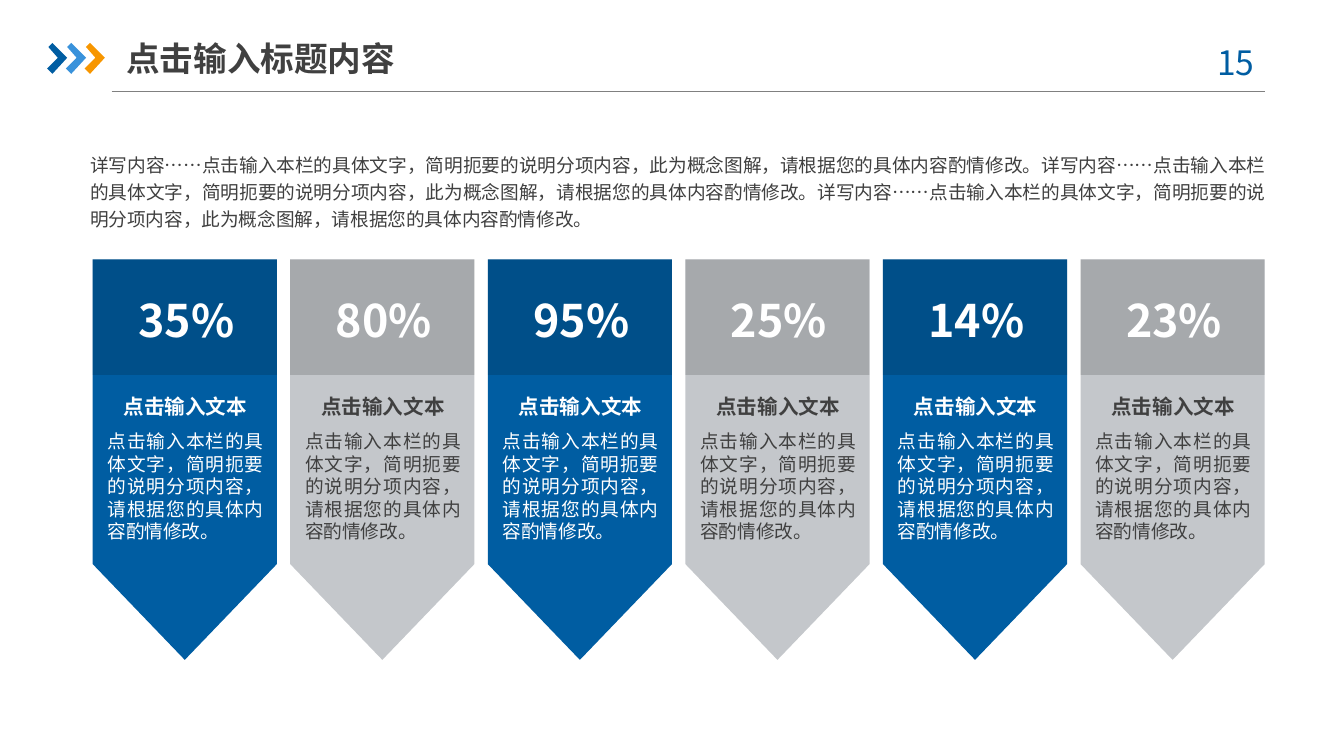
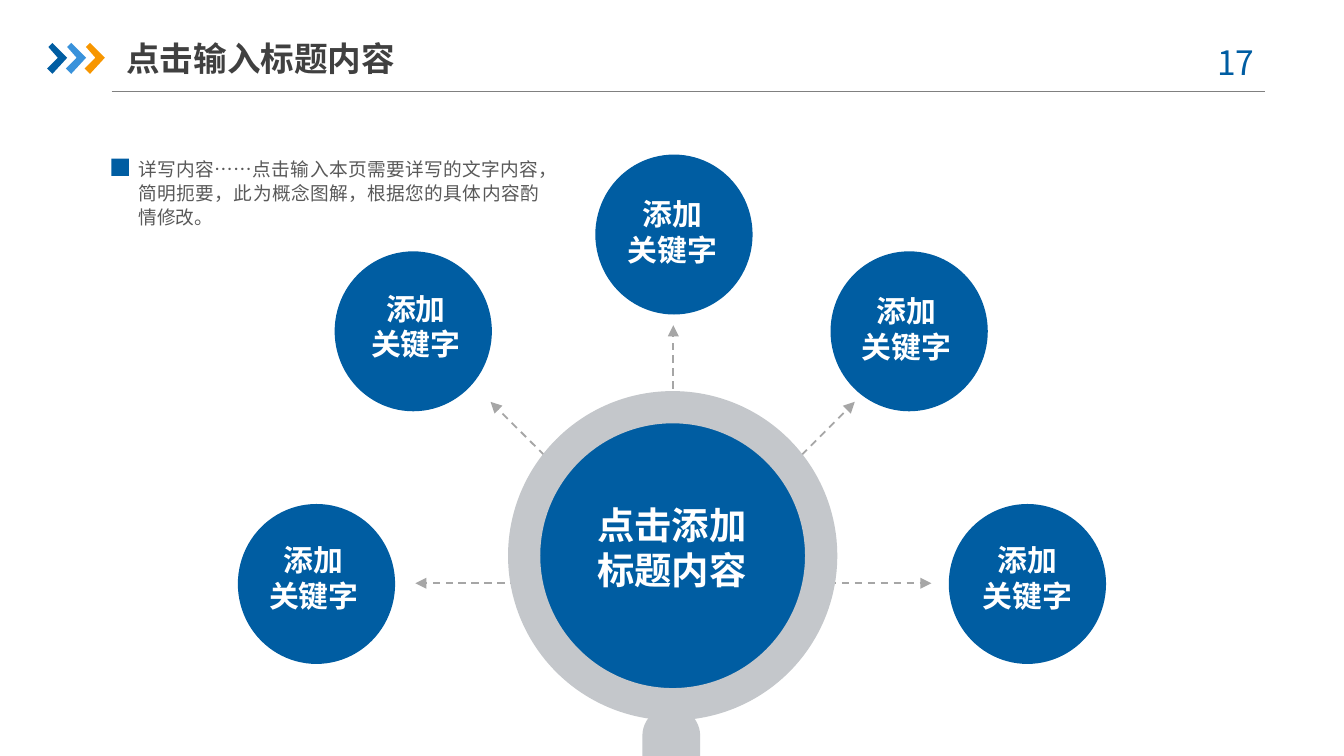
"""Build two slides: a row of percentage arrows and a hub with keywords."""
from lxml import etree
from pptx import Presentation
from pptx.dml.color import RGBColor
from pptx.enum import dml, shapes, text
from pptx.oxml import ns
from pptx.util import Inches, Pt

FONT = "Noto Sans CJK SC"
BLUE = RGBColor(0x00, 0x5D, 0xA2)
SKY = RGBColor(0x39, 0x92, 0xDB)
ORANGE = RGBColor(0xF7, 0x96, 0x00)
SILVER = RGBColor(0xC4, 0xC7, 0xCB)
RULE_GREY = RGBColor(0x80, 0x80, 0x80)
ARROW_GREY = RGBColor(0xA6, 0xA6, 0xA6)
DARK = RGBColor(0x40, 0x40, 0x40)
NOTE_GREY = RGBColor(0x59, 0x59, 0x59)
WHITE = RGBColor(0xFF, 0xFF, 0xFF)
BLACK = RGBColor(0x00, 0x00, 0x00)

SLIDE_WIDTH = Inches(10)
SLIDE_HEIGHT = SLIDE_WIDTH * 9 // 16
CENTER, JUSTIFY = text.PP_ALIGN.CENTER, text.PP_ALIGN.JUSTIFY
OVAL = shapes.MSO_SHAPE.OVAL
RECTANGLE = shapes.MSO_SHAPE.RECTANGLE
DEFAULT_INSETS = (0.1, 0.05)
TIGHT_INSETS = (0.04, 0.02)

TITLE = "点击输入标题内容"
INTRO = ("详写内容……点击输入本栏的具体文字，简明扼要的说明分项内容，"
         "此为概念图解，请根据您的具体内容酌情修改。") * 3
PERCENTAGES = ["35%", "80%", "95%", "25%", "14%", "23%"]
COLUMN_HEADING = "点击输入文本"
COLUMN_BODY = ("点击输入本栏的具体文字，简明扼要的说明分项内容，"
               "请根据您的具体内容酌情修改。")
COLUMN_STYLES = [(BLUE, WHITE), (SILVER, DARK)]
COLUMN_LEFT, COLUMN_TOP, COLUMN_WIDTH, COLUMN_STEP = 0.69, 1.93, 1.37, 1.47

NOTE = ("详写内容……点击输入本页需要详写的文字内容，简明扼要，"
        "此为概念图解，根据您的具体内容酌情修改。")
HUB_TEXT = "点击添加\n标题内容"
KEYWORD = "添加\n关键字"
HUB_CENTER = (5.01, 4.34)
RING_SIZE, RING_BAND = 2.45, 0.24
KEYWORDS = [
    {"circle": (1.77, 3.75), "label": (1.85, 3.97), "tip": (3.09, 4.34)},
    {"circle": (2.49, 1.87), "label": (2.61, 2.10), "tip": (3.65, 2.99)},
    {"circle": (4.43, 1.15), "label": (4.52, 1.40), "tip": (5.01, 2.42)},
    {"circle": (6.18, 1.87), "label": (6.26, 2.12), "tip": (6.36, 2.99)},
    {"circle": (7.06, 3.75), "label": (7.16, 3.97), "tip": (6.93, 4.34)},
]

CHEVRON_COLORS = [BLUE, SKY, ORANGE]
CHEVRON_STEP = 0.14
CHEVRON_POINTS = [(0.36, 0.35), (0.39, 0.32), (0.5, 0.43),
                  (0.39, 0.55), (0.35, 0.51), (0.43, 0.43)]


def paint(shape, color):
    shape.shadow.inherit = False
    shape.fill.solid()
    shape.fill.fore_color.rgb = color
    shape.line.fill.background()


def add_shape(slide, kind, box, color, adjustments=()):
    shape = slide.shapes.add_shape(kind, *map(Inches, box))
    paint(shape, color)
    for index, value in enumerate(adjustments):
        shape.adjustments[index] = value
    return shape


def add_text(slide, content, box, size, color, bold=False, align=None,
             insets=DEFAULT_INSETS, spacing=None, grow=False):
    textbox = slide.shapes.add_textbox(*map(Inches, box))
    frame = textbox.text_frame
    frame.text = content
    frame.word_wrap = True
    frame.auto_size = (text.MSO_AUTO_SIZE.SHAPE_TO_FIT_TEXT if grow
                       else text.MSO_AUTO_SIZE.NONE)
    frame.margin_left = frame.margin_right = Inches(insets[0])
    frame.margin_top = frame.margin_bottom = Inches(insets[1])
    for paragraph in frame.paragraphs:
        paragraph.alignment = align
        paragraph.line_spacing = spacing
        for run in paragraph.runs:
            run.font.size = Pt(size)
            run.font.bold = bold
            run.font.color.rgb = color
            run.font.name = FONT
            east_asian = etree.SubElement(run.font._element, ns.qn("a:ea"))
            east_asian.set("typeface", FONT)
    return textbox


def add_line(slide, start, end, color, width):
    line = slide.shapes.add_connector(
        shapes.MSO_CONNECTOR.STRAIGHT, *map(Inches, start + end))
    line.line.color.rgb = color
    line.line.width = Pt(width)
    etree.SubElement(line._element.spPr, ns.qn("a:effectLst"))
    return line


def add_dashed_arrow(slide, start, end):
    arrow = add_line(slide, start, end, ARROW_GREY, 1)
    arrow.line.dash_style = dml.MSO_LINE.DASH
    head = etree.SubElement(arrow.line._get_or_add_ln(), ns.qn("a:tailEnd"))
    head.set("type", "triangle")


def add_page(presentation, number):
    slide = presentation.slides.add_slide(presentation.slide_layouts[6])
    add_line(slide, (0.83, 0.68), (9.41, 0.68), RULE_GREY, 0.75)
    for index, color in enumerate(CHEVRON_COLORS):
        points = [(Inches(x + index * CHEVRON_STEP), Inches(y))
                  for x, y in CHEVRON_POINTS]
        builder = slide.shapes.build_freeform(*points[0])
        builder.add_line_segments(points[1:], close=True)
        paint(builder.convert_to_shape(), color)
    add_text(slide, f"{number} ", (8.86, 0.26, 0.73, 0.4), 18, BLUE,
             align=CENTER, grow=True)
    title = add_text(slide, TITLE, (0.94, 0.22, 2.33, 0.42), 18, DARK,
                     bold=True, insets=(0, 0.05))
    title.text_frame.vertical_anchor = text.MSO_ANCHOR.MIDDLE
    return slide


def add_column(slide, index, percentage):
    left = COLUMN_LEFT + index * COLUMN_STEP
    fill, ink = COLUMN_STYLES[index % 2]
    add_shape(slide, shapes.MSO_SHAPE.DOWN_ARROW,
              (left, COLUMN_TOP, COLUMN_WIDTH, 2.98), fill, (1, 0.52))
    shade = add_shape(slide, RECTANGLE,
                      (left, COLUMN_TOP, COLUMN_WIDTH, 0.86), BLACK)
    color = shade._element.spPr.find(".//" + ns.qn("a:srgbClr"))
    etree.SubElement(color, ns.qn("a:alpha")).set("val", "15000")
    add_text(slide, percentage, (left + 0.15, 2.16, 1.09, 0.46), 24, WHITE,
             bold=True, align=CENTER, insets=TIGHT_INSETS)
    add_text(slide, COLUMN_HEADING, (left + 0.17, 2.91, 1.04, 0.26), 11, ink,
             bold=True, align=CENTER, insets=TIGHT_INSETS)
    add_text(slide, COLUMN_BODY, (left + 0.07, 3.18, 1.24, 0.68), 10, ink,
             align=JUSTIFY, insets=TIGHT_INSETS)


def build_percentages(presentation):
    slide = add_page(presentation, 15)
    add_text(slide, INTRO, (0.63, 1.09, 8.82, 0.7), 10, DARK,
             align=JUSTIFY, insets=TIGHT_INSETS, spacing=1.2)
    for index, percentage in enumerate(PERCENTAGES):
        add_column(slide, index, percentage)


def build_hub(presentation):
    slide = add_page(presentation, 17)
    for keyword in KEYWORDS:
        add_dashed_arrow(slide, HUB_CENTER, keyword["tip"])
    add_shape(slide, OVAL, (3.97, 3.11, 2.05, 2.05), BLUE)
    add_shape(slide, shapes.MSO_SHAPE.DONUT,
              (3.78, 2.91, RING_SIZE, RING_SIZE), SILVER,
              (RING_BAND / RING_SIZE,))
    add_shape(slide, shapes.MSO_SHAPE.ROUNDED_RECTANGLE,
              (4.78, 5.26, 0.43, 0.88), SILVER, (0.5,))
    add_text(slide, HUB_TEXT, (4.2, 3.69, 1.6, 0.77), 20, WHITE,
             bold=True, align=CENTER, grow=True)
    for keyword in KEYWORDS:
        add_shape(slide, OVAL, keyword["circle"] + (1.17, 1.19), BLUE)
        add_text(slide, KEYWORD, keyword["label"] + (0.97, 0.66), 16, WHITE,
                 bold=True, align=CENTER, insets=(0.12, 0.06), grow=True)
    add_text(slide, NOTE, (1.03, 1.16, 2.98, 0.55), 10, NOTE_GREY,
             align=JUSTIFY, insets=(0, 0), spacing=Pt(13), grow=True)
    add_shape(slide, RECTANGLE, (0.83, 1.18, 0.13, 0.13), BLUE)


presentation = Presentation()
presentation.slide_width = SLIDE_WIDTH
presentation.slide_height = SLIDE_HEIGHT
build_percentages(presentation)
build_hub(presentation)
presentation.save("out.pptx")
